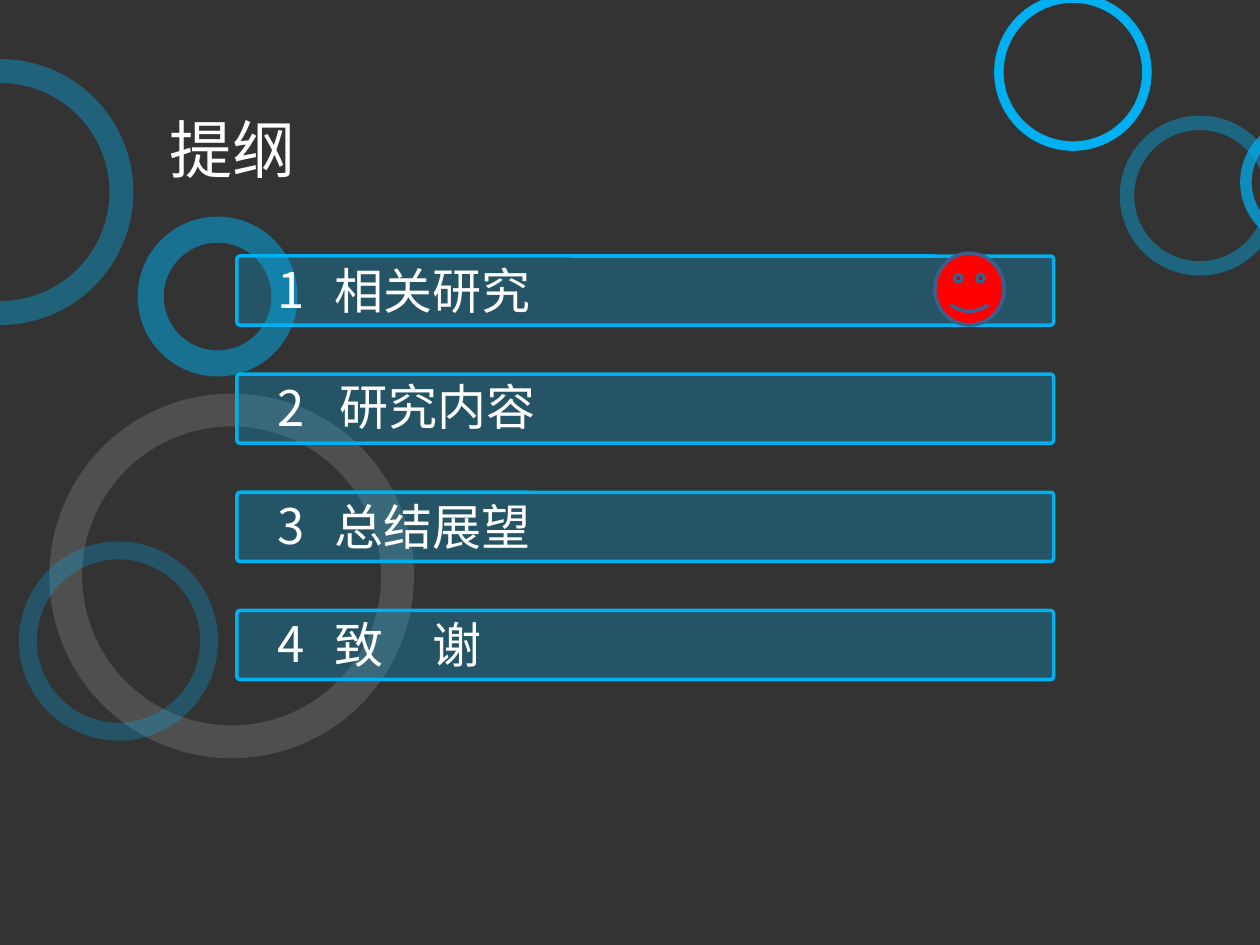
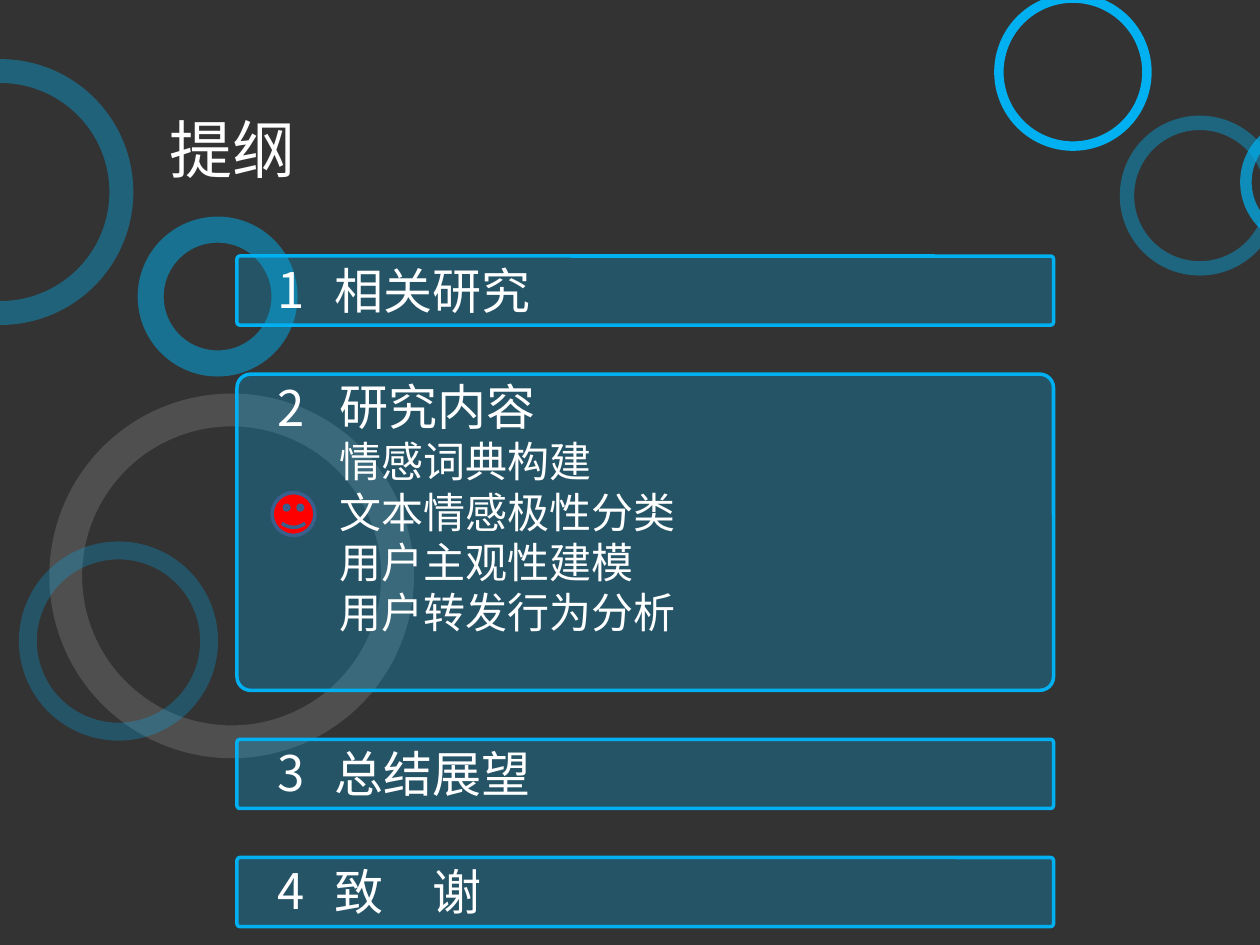
import pptx
import pptx.dml.color
import pptx.enum.shapes
import pptx.enum.text
import pptx.oxml
import pptx.oxml.ns
import pptx.util
from dataclasses import dataclass

Pt = pptx.util.Pt
SHAPE = pptx.enum.shapes.MSO_SHAPE
qn = pptx.oxml.ns.qn


@dataclass(frozen=True)
class Theme:
    back: str = "333333"
    blue: str = "00B0F0"
    white: str = "FFFFFF"
    red: str = "FF0000"
    edge: str = "3A5F8C"
    han: str = "Noto Sans CJK SC"
    num: str = "Noto Sans CJK JP"
    title: int = 36
    head: int = 28
    sub: int = 24
    line: int = 2


THEME = Theme()
RINGS = [
    (28.2, 224.9, 208.4, 0.09, THEME.white, 14),
    (-75.7, 33.8, 151.9, 0.09, THEME.blue, 38),
    (10.8, 309.4, 113.8, 0.09, THEME.blue, 27),
    (78.7, 123.8, 91.4, 0.163, THEME.blue, 50),
    (639.9, 66.1, 91.4, 0.09, THEME.blue, 41),
    (568.1, -3.8, 90, 0.06, THEME.blue, 100),
    (708.7, 67.4, 73.3, 0.09, THEME.blue, 72),
]
TOPICS = ["相关研究", "研究内容", "总结展望", "致　谢"]
STEPS = ["情感词典构建", "文本情感极性分类", "用户主观性建模", "用户转发行为分析"]
LEFT, TOP, WIDE, HIGH, GAP = 135.4, 146.3, 466.6, 39.5, 28
TALL = 180.7


def color(code):
    return pptx.dml.color.RGBColor.from_string(code)


class Deck:
    def __init__(self, theme):
        self.theme = theme
        self.prs = pptx.Presentation()
        self.prs.slide_width, self.prs.slide_height = Pt(720), Pt(540)
        self.slide = None

    def page(self):
        self.slide = self.prs.slides.add_slide(self.prs.slide_layouts[6])
        fill = self.slide.background.fill
        fill.solid()
        fill.fore_color.rgb = color(self.theme.back)
        for x, y, size, thick, tint, alpha in RINGS:
            self.shape(SHAPE.DONUT, x, y, size, size, thick, tint, alpha)
        self.text(90, 59.8, 87.1, 51.1, [("提纲", self.theme.title)])

    def shape(self, kind, x, y, w, h, adjust, tint, alpha=100, edge=None):
        shape = self.slide.shapes.add_shape(kind, Pt(x), Pt(y), Pt(w), Pt(h))
        shape.shadow.inherit = False
        shape.adjustments[0] = adjust
        shape.fill.solid()
        shape.fill.fore_color.rgb = color(tint)
        if alpha < 100:
            node = shape.fill._xPr.find(".//" + qn("a:srgbClr"))
            pptx.oxml.parse_xml(
                '<a:alpha xmlns:a="http://schemas.openxmlformats.org/drawingml/2006/main"/>'
            )
            mark = node.makeelement(qn("a:alpha"), {"val": str(alpha * 1000)})
            node.append(mark)
        if edge:
            shape.line.color.rgb = color(edge)
            shape.line.width = Pt(self.theme.line)
        else:
            shape.line.fill.background()

    def bar(self, y, h):
        blue = self.theme.blue
        self.shape(SHAPE.ROUNDED_RECTANGLE, LEFT, y, WIDE, h, 0.043, blue, 27, blue)

    def smile(self, x, y, w, h):
        self.shape(SHAPE.SMILEY_FACE, x, y, w, h, 0.047, self.theme.red,
                   edge=self.theme.edge)

    def text(self, x, y, w, h, lines, face=None, wrap=False):
        box = self.slide.shapes.add_textbox(Pt(x), Pt(y), Pt(w), Pt(h))
        frame = box.text_frame
        frame.word_wrap = wrap
        frame.auto_size = pptx.enum.text.MSO_AUTO_SIZE.SHAPE_TO_FIT_TEXT
        for i, (words, size) in enumerate(lines):
            para = frame.add_paragraph() if i else frame.paragraphs[0]
            run = para.add_run()
            run.text = words
            font = run.font
            font.size = Pt(size)
            font.color.rgb = color(self.theme.white)
            font.name = face or self.theme.han
            props = run._r.get_or_add_rPr()
            east = props.makeelement(qn("a:ea"), {"typeface": font.name})
            props.find(qn("a:latin")).addnext(east)

    def list(self, steps=None):
        steps = steps or {}
        y = TOP
        for i, topic in enumerate(TOPICS):
            subs = steps.get(i, [])
            high = TALL if subs else HIGH
            lines = [(topic, self.theme.head)]
            lines += [(sub, self.theme.sub) for sub in subs]
            x = 187.2 if i == 1 else 184.3
            lift = 2 if i == 1 else 1.2
            self.bar(y, high)
            self.text(x, y - lift, 414.7 if subs else 127.4,
                      157.7 if subs else 41, lines, wrap=bool(subs))
            self.text(151.7, y - 1.8, 28.8, 41, [(str(i + 1), self.theme.head)],
                      self.theme.num)
            y += high + GAP


def main():
    deck = Deck(THEME)
    deck.page()
    deck.list()
    deck.smile(534.2, 144.7, 39.6, 41)
    deck.page()
    deck.list({1: STEPS})
    deck.smile(155.5, 281.5, 24.5, 24.5)
    deck.prs.save("out.pptx")


if __name__ == "__main__":
    main()
